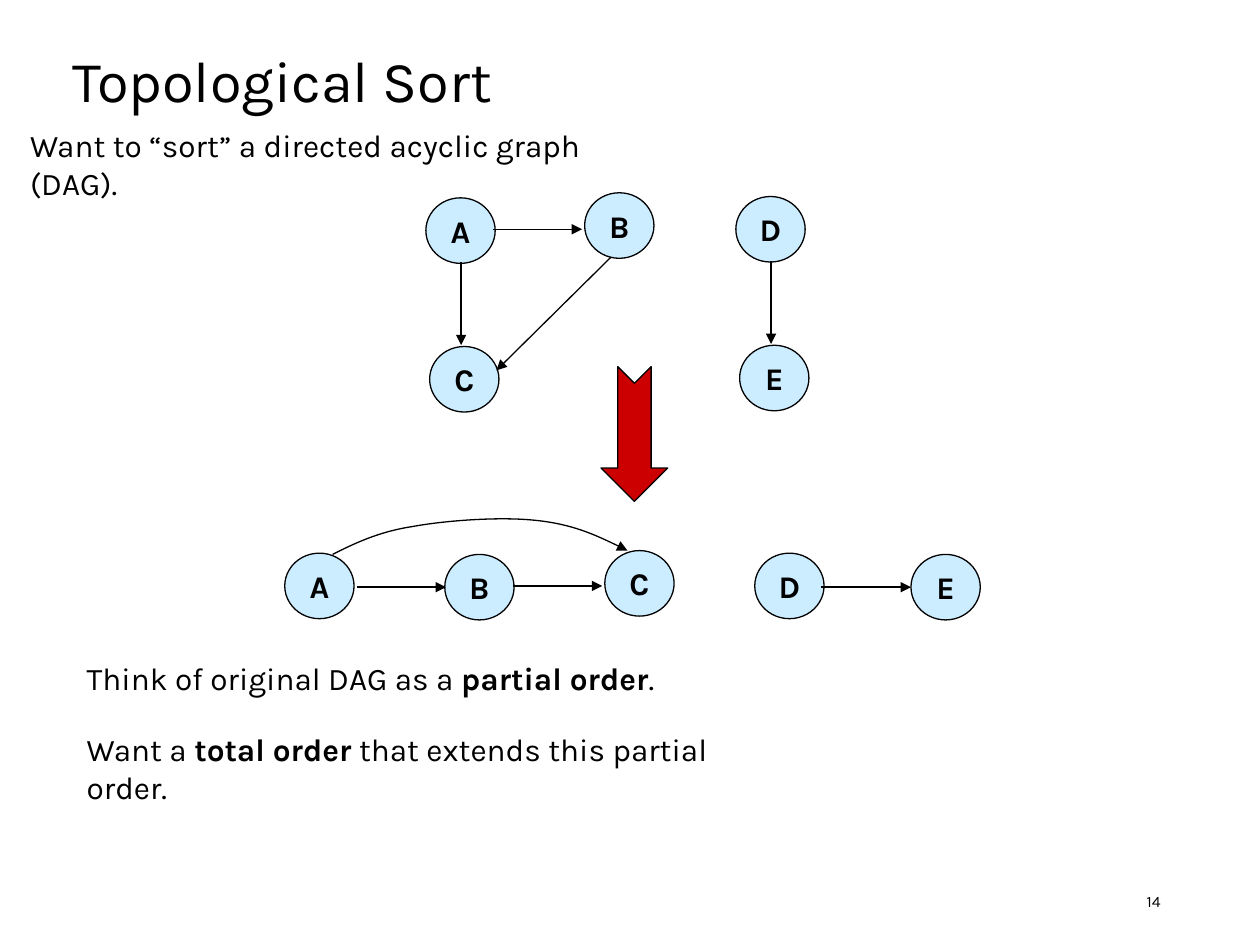
from lxml.etree import SubElement
from pptx import Presentation
from pptx.dml.color import RGBColor
from pptx.enum.shapes import MSO_CONNECTOR, MSO_SHAPE
from pptx.enum.text import MSO_ANCHOR, PP_ALIGN
from pptx.oxml.ns import qn
from pptx.util import Inches, Pt

BLACK = RGBColor(0x00, 0x00, 0x00)
NODE_BLUE = RGBColor(0xCC, 0xEC, 0xFF)
ARROW_RED = RGBColor(0xCC, 0x00, 0x00)


def write_text(tf, *paragraphs, size=18, bold=False, align=PP_ALIGN.LEFT,
               anchor=MSO_ANCHOR.TOP, wrap=True, gap=0, spacing=None):
    """Fill a frame; text between asterisks is set bold."""
    tf.word_wrap = wrap
    tf.vertical_anchor = anchor
    for i, text in enumerate(paragraphs):
        p = tf.add_paragraph() if i else tf.paragraphs[0]
        p.alignment = align
        p.line_spacing = spacing
        p.space_before = Pt(gap if i else 0)
        for j, part in enumerate(text.split("*")):
            r = p.add_run()
            r.text = part
            r.font.name = "Karla"
            r.font.size = Pt(size)
            r.font.bold = bold or j % 2 == 1
            r.font.color.rgb = BLACK


class GraphSlide:
    node_w, node_h = 0.55, 0.52
    line_width = 0.75

    def __init__(self, slide):
        self.s = slide

    def outline(self, sp):
        sp.line.color.rgb = BLACK
        sp.line.width = Pt(self.line_width)

    def arrowhead(self, sp):
        ln = sp.line._get_or_add_ln()
        SubElement(ln, qn("a:tailEnd"), type="triangle")

    def text(self, x, y, w, h, *paragraphs, **fmt):
        sp = self.s.shapes.add_textbox(Inches(x), Inches(y), Inches(w), Inches(h))
        write_text(sp.text_frame, *paragraphs, **fmt)

    def shape(self, kind, x, y, w, h, color):
        sp = self.s.shapes.add_shape(kind, Inches(x), Inches(y), Inches(w), Inches(h))
        sp.shadow.inherit = False
        sp.fill.solid()
        sp.fill.fore_color.rgb = color
        self.outline(sp)
        return sp

    def node(self, label, x, y):
        sp = self.shape(MSO_SHAPE.OVAL, x, y, self.node_w, self.node_h, NODE_BLUE)
        write_text(sp.text_frame, label, bold=True, align=PP_ALIGN.CENTER,
                   anchor=MSO_ANCHOR.MIDDLE, wrap=False)

    def edge(self, x1, y1, x2, y2):
        cx = self.s.shapes.add_connector(
            MSO_CONNECTOR.STRAIGHT, Inches(x1), Inches(y1), Inches(x2), Inches(y2))
        self.outline(cx)
        self.arrowhead(cx)
        SubElement(cx._element.spPr, qn("a:effectLst"))

    def curve(self, start, *controls):
        """Draw a curved edge; every three control points make one Bezier."""
        points = [(Inches(x), Inches(y)) for x, y in controls]
        fb = self.s.shapes.build_freeform(Inches(start[0]), Inches(start[1]))
        fb.add_line_segments(points, close=False)
        sp = fb.convert_to_shape()
        path = next(sp._element.iter(qn("a:path")))
        lines = path.findall(qn("a:lnTo"))
        for i in range(0, len(lines), 3):
            bezier = SubElement(path, qn("a:cubicBezTo"))
            for line in lines[i:i + 3]:
                bezier.append(line[0])
                path.remove(line)
        sp.shadow.inherit = False
        sp.fill.background()
        self.outline(sp)
        self.arrowhead(sp)


def main():
    prs = Presentation()
    prs.slide_width, prs.slide_height = Inches(10), Inches(7.5)
    g = GraphSlide(prs.slides.add_slide(prs.slide_layouts[6]))

    # Title, page number and introduction
    g.text(0.48, 0.04, 9, 1.25, "Topological Sort", size=33,
           anchor=MSO_ANCHOR.MIDDLE, spacing=0.9)
    g.text(7.06, 6.95, 2.25, 0.4, "14", size=9, align=PP_ALIGN.RIGHT,
           anchor=MSO_ANCHOR.MIDDLE)
    g.text(0.14, 0.95, 5.11, 0.4, "Want to “sort” a directed acyclic graph (DAG).")

    # Original graph, then its sorted form
    for label, x, y in [
        ("A", 3.38, 1.57), ("B", 4.64, 1.53), ("C", 3.41, 2.75),
        ("D", 5.84, 1.56), ("E", 5.87, 2.74),
        ("A", 2.26, 4.39), ("B", 3.53, 4.4), ("C", 4.8, 4.37),
        ("D", 5.99, 4.39), ("E", 7.23, 4.4),
    ]:
        g.node(label, x, y)

    # Edges of both graphs
    for ends in [
        (3.66, 2.08, 3.66, 2.74), (3.91, 1.82, 4.62, 1.82),
        (4.85, 2.04, 3.94, 2.94), (6.12, 2.07, 6.12, 2.73),
        (2.83, 4.66, 3.54, 4.66), (4.07, 4.65, 4.78, 4.65),
        (6.52, 4.66, 7.23, 4.66),
    ]:
        g.edge(*ends)
    g.curve((2.64, 4.4),
            (2.82, 4.31), (3.01, 4.22), (3.27, 4.18),
            (3.54, 4.13), (3.97, 4.1), (4.25, 4.13),
            (4.54, 4.16), (4.76, 4.26), (4.98, 4.37))

    # Arrow from the graph to its order
    arrow = g.shape(MSO_SHAPE.NOTCHED_RIGHT_ARROW, 4.5, 3.18, 1.07, 0.53, ARROW_RED)
    arrow.rotation = 90

    # Conclusions
    g.text(0.59, 5.18, 5.5, 0.98,
           "Think of original DAG as a *partial order*.",
           "Want a *total order* that extends this partial order.", gap=19)

    prs.save("out.pptx")


if __name__ == "__main__":
    main()
